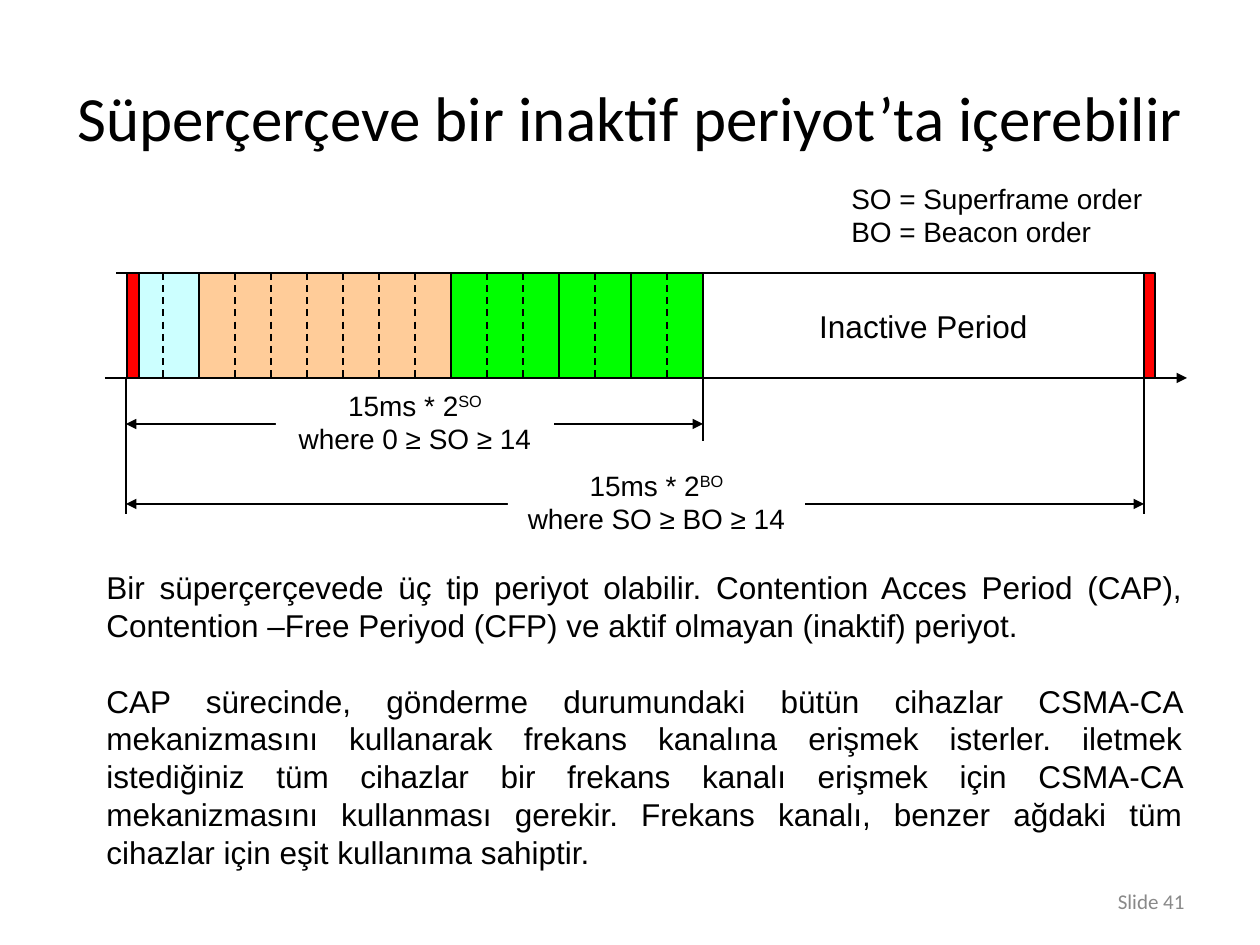
from dataclasses import dataclass
from lxml import etree
from pptx import Presentation
from pptx.dml.color import RGBColor
from pptx.enum.dml import MSO_LINE
from pptx.enum.shapes import MSO_CONNECTOR, MSO_SHAPE
from pptx.enum.text import MSO_ANCHOR, PP_ALIGN
from pptx.oxml.ns import qn
from pptx.util import Emu, Pt

PX = 914400 // 126
RECT, STRAIGHT, DASH = MSO_SHAPE.RECTANGLE, MSO_CONNECTOR.STRAIGHT, MSO_LINE.DASH
TOP, MIDDLE = MSO_ANCHOR.TOP, MSO_ANCHOR.MIDDLE
LEFT, CENTER, RIGHT, JUSTIFY = PP_ALIGN.LEFT, PP_ALIGN.CENTER, PP_ALIGN.RIGHT, PP_ALIGN.JUSTIFY


@dataclass(frozen=True)
class Theme:
    heading: str = "Calibri"
    body: str = "Arial"
    black: str = "000000"
    white: str = "FFFFFF"
    grey: str = "898989"
    beacon: str = "FF0000"
    cyan: str = "CCFFFF"
    orange: str = "FFCC99"
    green: str = "00FF00"
    title_size: int = 36
    text_size: int = 18
    label_size: int = 16
    number_size: int = 12
    stroke: float = 1


class Painter:
    def __init__(self, slide, theme):
        self.s, self.t = slide, theme

    def rect(self, x, y, w, h, fill=None, outline=True):
        sp = self.s.shapes.add_shape(RECT, *(Emu(v * PX) for v in (x, y, w, h)))
        sp.shadow.inherit = False
        if fill:
            sp.fill.solid()
            sp.fill.fore_color.rgb = RGBColor.from_string(fill)
        else:
            sp.fill.background()
        if outline:
            sp.line.color.rgb = RGBColor.from_string(self.t.black)
            sp.line.width = Pt(self.t.stroke)
        else:
            sp.line.fill.background()
        return sp

    def line(self, x1, y1, x2, y2, dash=None, ends=()):
        c = self.s.shapes.add_connector(STRAIGHT, *(Emu(v * PX) for v in (x1, y1, x2, y2)))
        c.line.color.rgb = RGBColor.from_string(self.t.black)
        c.line.width = Pt(self.t.stroke)
        if dash:
            c.line.dash_style = dash
        ln = c._element.spPr.find(qn("a:ln"))
        for end in ends:
            etree.SubElement(ln, qn("a:" + end), type="triangle", w="med", len="med")
        etree.SubElement(c._element.spPr, qn("a:effectLst"))

    def put_text(self, sp, lines, size, align=LEFT, anchor=TOP, font=None, color=None, wrap=True, gap=0):
        tf = sp.text_frame
        tf.word_wrap, tf.vertical_anchor = wrap, anchor
        tf.text = "\n".join(lines)
        for i, p in enumerate(tf.paragraphs):
            p.alignment = align
            p.space_before = Pt(gap if i else 0)
            for r in p.runs:
                self.style(r, size, font, color)
        return tf

    def style(self, r, size, font=None, color=None):
        r.font.size = Pt(size)
        r.font.name = font or self.t.body
        r.font.color.rgb = RGBColor.from_string(color or self.t.black)

    def text(self, x, y, w, h, lines, size, **options):
        sp = self.s.shapes.add_textbox(*(Emu(v * PX) for v in (x, y, w, h)))
        self.put_text(sp, lines, size, **options)

    def span(self, x1, x2, y, label, order, condition):
        self.line(x1, y, x2, y, ends=("headEnd", "tailEnd"))
        sp = self.rect(*label, fill=self.t.white, outline=False)
        tf = self.put_text(sp, ["15ms * 2", condition], self.t.label_size, CENTER)
        r = tf.paragraphs[0].add_run()
        r.text = order
        self.style(r, self.t.label_size)
        r.font._element.set("baseline", "30000")


prs = Presentation()
prs.slide_width, prs.slide_height = Emu(1260 * PX), Emu(945 * PX)
t = Theme()
d = Painter(prs.slides.add_slide(prs.slide_layouts[6]), t)

d.text(903, 876, 294, 50, ["Slide 41"], t.number_size, align=RIGHT, anchor=MIDDLE,
       font=t.heading, color=t.grey)
d.text(63, 38, 1134, 157, ["Süperçerçeve bir inaktif periyot’ta içerebilir"], t.title_size,
       align=CENTER, anchor=MIDDLE, font=t.heading)

START, SLOT, SLOTS, BAR_TOP, BAR_H = 127, 36, 16, 273, 105
AXIS, ACTIVE_END, NEXT_BEACON = BAR_TOP + BAR_H, START + SLOT * SLOTS, 1144

for first, count, fill in ((2, 7, t.orange), (0, 2, t.cyan), (9, 3, t.green),
                           (12, 2, t.green), (14, 2, t.green)):
    d.rect(START + first * SLOT, BAR_TOP, count * SLOT, BAR_H, fill)
for i in range(1, SLOTS):
    if i != 9:
        d.line(START + i * SLOT, BAR_TOP, START + i * SLOT, AXIS, dash=DASH)
d.line(START, BAR_TOP, 116, BAR_TOP)
d.line(105, AXIS, 1187, AXIS, ends=("tailEnd",))
for x, w in ((START, 12), (NEXT_BEACON, 11)):
    d.rect(x, BAR_TOP, w, BAR_H, t.beacon)

d.span(126, NEXT_BEACON, 504, (508, 462, 297, 81), "BO", "where SO ≥ BO ≥ 14")
d.span(126, ACTIVE_END, 424, (276, 382, 278, 81), "SO", "where 0 ≥ SO ≥ 14")

d.text(839, 175, 316, 81, ["SO = Superframe order", "BO = Beacon order"], t.label_size, wrap=False)
inactive = d.rect(ACTIVE_END, BAR_TOP, NEXT_BEACON - ACTIVE_END, BAR_H)
d.put_text(inactive, ["Inactive Period"], t.text_size, CENTER, MIDDLE, wrap=False)
for x, y1, y2 in ((NEXT_BEACON, AXIS, 514), (126, AXIS, 514), (ACTIVE_END, 305, 441)):
    d.line(x, y1, x, y2)

d.text(94, 562, 1101, 315, [
    "Bir süperçerçevede üç tip periyot olabilir. Contention Acces Period (CAP), "
    "Contention –Free Periyod (CFP) ve aktif olmayan (inaktif) periyot.",
    "CAP sürecinde, gönderme durumundaki bütün cihazlar CSMA-CA mekanizmasını kullanarak "
    "frekans kanalına erişmek isterler. iletmek istediğiniz tüm cihazlar bir frekans kanalı "
    "erişmek için CSMA-CA mekanizmasını kullanması gerekir. Frekans kanalı, benzer ağdaki tüm "
    "cihazlar için eşit kullanıma sahiptir.",
], t.text_size, align=JUSTIFY, gap=21.6)

prs.save("out.pptx")
